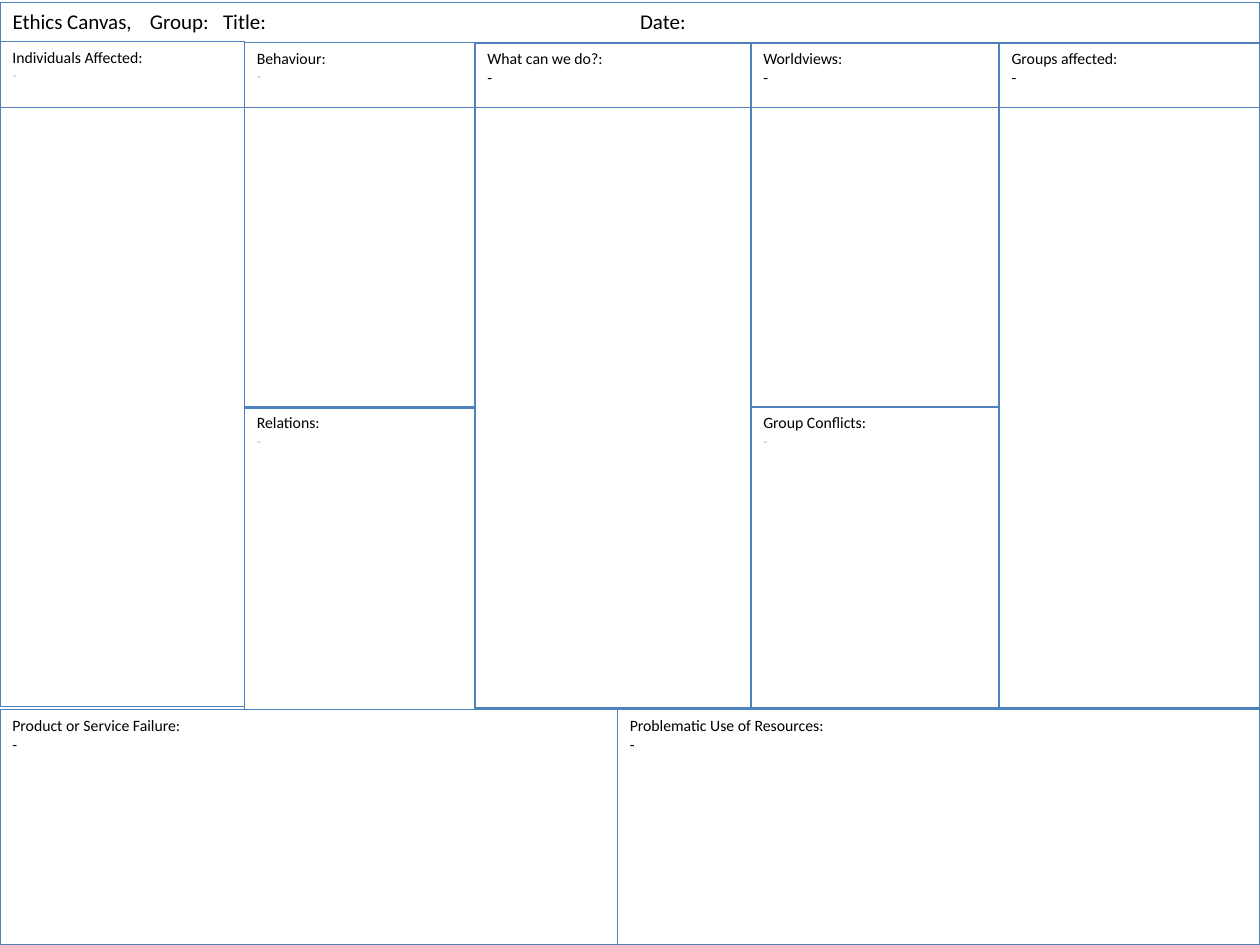
from lxml import etree
from pptx import Presentation
from pptx.dml.color import RGBColor
from pptx.enum import shapes, text
from pptx.oxml import ns
from pptx.util import Inches, Pt

BLUE = RGBColor(0x4F, 0x81, 0xBD)
BLACK = RGBColor(0, 0, 0)
GREY = RGBColor(0xBF, 0xBF, 0xBF)
FONT = "Calibri"

HEADER = ["Ethics Canvas,", "Group:", "Title:", "Date:"]
HEADER_TABS = [1.09, 1.67, 4.98]

COLUMNS = [0, 1.94, 3.77, 5.96, 7.93, 10]
HALVES = [0, 4.9, 10]
TOP, MIDDLE, BOTTOM, END = 0.34, 3.23, 5.62, 7.5
LOWER_TOP = 5.63

# heading, edges, column, top, bottom, dash size, dash colour
SECTIONS = [
    ("Individuals Affected:", COLUMNS, 0, 0.33, 5.61, 8, GREY),
    ("Behaviour:", COLUMNS, 1, TOP, 3.24, 8, GREY),
    ("What can we do?:", COLUMNS, 2, TOP, BOTTOM, 9, BLACK),
    ("Worldviews:", COLUMNS, 3, TOP, MIDDLE, 9, BLACK),
    ("Groups affected:", COLUMNS, 4, TOP, BOTTOM, 9, BLACK),
    ("Group Conflicts:", COLUMNS, 3, MIDDLE, BOTTOM, 8, GREY),
    ("Relations:", COLUMNS, 1, MIDDLE, LOWER_TOP, 8, GREY),
    ("Problematic Use of Resources:", HALVES, 1, LOWER_TOP, END, 9, BLACK),
    ("Product or Service Failure:", HALVES, 0, LOWER_TOP, END, 9, BLACK),
]


def outline(box):
    box.fill.background()
    box.line.color.rgb = BLUE
    box.line.width = Pt(0.75)
    box.text_frame.word_wrap = True
    box.text_frame.vertical_anchor = text.MSO_ANCHOR.TOP


def format_paragraph(para, size, color):
    para.alignment = text.PP_ALIGN.LEFT
    para.font.name = FONT
    para.font.size = Pt(size)
    para.font.color.rgb = color


def add_tab_stops(para, positions):
    properties = para._p.get_or_add_pPr()
    stops = etree.Element(ns.qn("a:tabLst"))
    for position in positions:
        etree.SubElement(stops, ns.qn("a:tab"), pos=str(Inches(position)), algn="l")
    # The schema wants tab stops ahead of the default run properties.
    properties.find(ns.qn("a:defRPr")).addprevious(stops)


def fill_header(box):
    box.left, box.top = Inches(0), Inches(0.02)
    box.width, box.height = Inches(10), Inches(0.3)
    outline(box)
    box.text_frame.auto_size = text.MSO_AUTO_SIZE.SHAPE_TO_FIT_TEXT
    para = box.text_frame.paragraphs[0]
    para.add_run().text = "\t".join(HEADER)
    format_paragraph(para, 12, BLACK)
    add_tab_stops(para, HEADER_TABS)


def add_section(page, heading, edges, column, top, bottom, dash_size, dash_color):
    left, right = edges[column:column + 2]
    box = page.shapes.add_shape(
        shapes.MSO_SHAPE.RECTANGLE,
        Inches(left), Inches(top), Inches(right - left), Inches(bottom - top))
    box.shadow.inherit = False
    outline(box)
    frame = box.text_frame
    frame.text = heading + "\n-"
    format_paragraph(frame.paragraphs[0], 9, BLACK)
    format_paragraph(frame.paragraphs[1], dash_size, dash_color)


def main():
    deck = Presentation()
    deck.slide_width, deck.slide_height = Inches(10), Inches(7.5)
    page = deck.slides.add_slide(deck.slide_layouts.get_by_name("Title Only"))
    fill_header(page.shapes.title)
    for section in SECTIONS:
        add_section(page, *section)
    deck.save("out.pptx")


if __name__ == "__main__":
    main()
